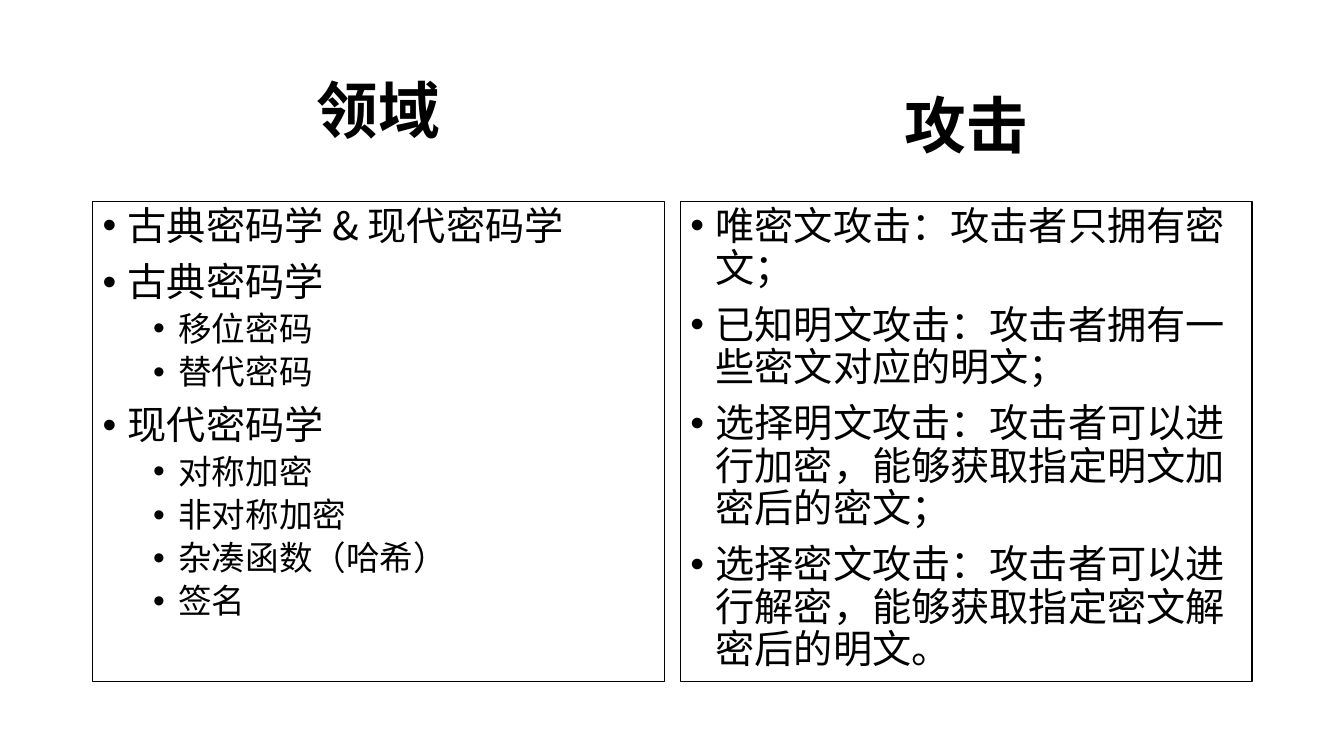
from lxml import etree
from pptx import Presentation, util as u
from pptx.dml.color import RGBColor
from pptx.enum import text
from pptx.oxml.ns import qn

FACE = "Noto Sans CJK SC"
INK, PAPER = "000000", "FFFFFF"
WIDE, HIGH = 13.33, 7.5

# Two equal columns with a gap between them
LEFT, COL, GAP = 0.92, 5.67, 0.16
HEAD = 1.45
TOP, BODY = 2, 4.76

# Size, space before and left indent (inches) for each list level
LEVELS = [
    {"size": 28, "before": 10, "indent": 0.25},
    {"size": 24, "before": 5, "indent": 0.75},
]
HANG = 0.25

# Heading, top of heading, and list items as (level, words)
COLUMNS = [
    ("领域", 0.4, [
        (0, "古典密码学 & 现代密码学"),
        (0, "古典密码学"),
        (1, "移位密码"),
        (1, "替代密码"),
        (0, "现代密码学"),
        (1, "对称加密"),
        (1, "非对称加密"),
        (1, "杂凑函数（哈希）"),
        (1, "签名"),
    ]),
    ("攻击", 0.55, [
        (0, "唯密文攻击：攻击者只拥有密文；"),
        (0, "已知明文攻击：攻击者拥有一些密文对应的明文；"),
        (0, "选择明文攻击：攻击者可以进行加密，能够获取指定明文加密后的密文；"),
        (0, "选择密文攻击：攻击者可以进行解密，能够获取指定密文解密后的明文。"),
    ]),
]


def color(code):
    return RGBColor.from_string(code)


def apply(part, values):
    for name, value in values.items():
        setattr(part, name, value)


def place(shape, box):
    names = ("left", "top", "width", "height")
    apply(shape, dict(zip(names, map(u.Inches, box))))


def write(para, words, size, bold=False):
    run = para.add_run()
    run.text = words
    apply(run.font, {"name": FACE, "size": u.Pt(size), "bold": bold})
    run.font.color.rgb = color(INK)
    # East Asian face
    props = run.font._element
    etree.SubElement(props, qn("a:ea")).set("typeface", FACE)


def frame(shape, anchor):
    apply(shape.text_frame, {
        "word_wrap": True,
        "auto_size": text.MSO_AUTO_SIZE.NONE,
        "vertical_anchor": anchor,
    })
    return shape.text_frame


def bullet(para, indent):
    props = para._p.get_or_add_pPr()
    props.set("marL", str(u.Inches(indent)))
    props.set("indent", str(-u.Inches(HANG)))
    etree.SubElement(props, qn("a:buFont")).set("typeface", "Arial")
    etree.SubElement(props, qn("a:buChar")).set("char", "•")


def heading(shape, box, words):
    place(shape, box)
    para = frame(shape, text.MSO_ANCHOR.MIDDLE).paragraphs[0]
    apply(para, {"alignment": text.PP_ALIGN.CENTER, "line_spacing": 0.9})
    write(para, words, 44, True)


def panel(slide, box, items):
    shape = slide.shapes.add_textbox(*map(u.Inches, box))
    shape.fill.solid()
    shape.fill.fore_color.rgb = color(PAPER)
    shape.line.color.rgb = color(INK)
    shape.line.width = u.Pt(1)
    body = frame(shape, text.MSO_ANCHOR.TOP)
    for i, (level, words) in enumerate(items):
        para = body.add_paragraph() if i else body.paragraphs[0]
        style = LEVELS[level]
        apply(para, {"level": level, "line_spacing": 0.9,
                     "space_before": u.Pt(style["before"])})
        bullet(para, style["indent"])
        write(para, words, style["size"])


def main():
    deck = Presentation()
    apply(deck, {"slide_width": u.Inches(WIDE),
                 "slide_height": u.Inches(HIGH)})
    slide = deck.slides.add_slide(deck.slide_layouts[5])
    for i, (words, top, items) in enumerate(COLUMNS):
        left = LEFT + i * (COL + GAP)
        # The first heading is the slide title
        head = slide.shapes.add_textbox(0, 0, 0, 0) if i else slide.shapes.title
        heading(head, (left, top, COL, HEAD), words)
        panel(slide, (left, TOP, COL, BODY), items)
    deck.save("out.pptx")


if __name__ == "__main__":
    main()
